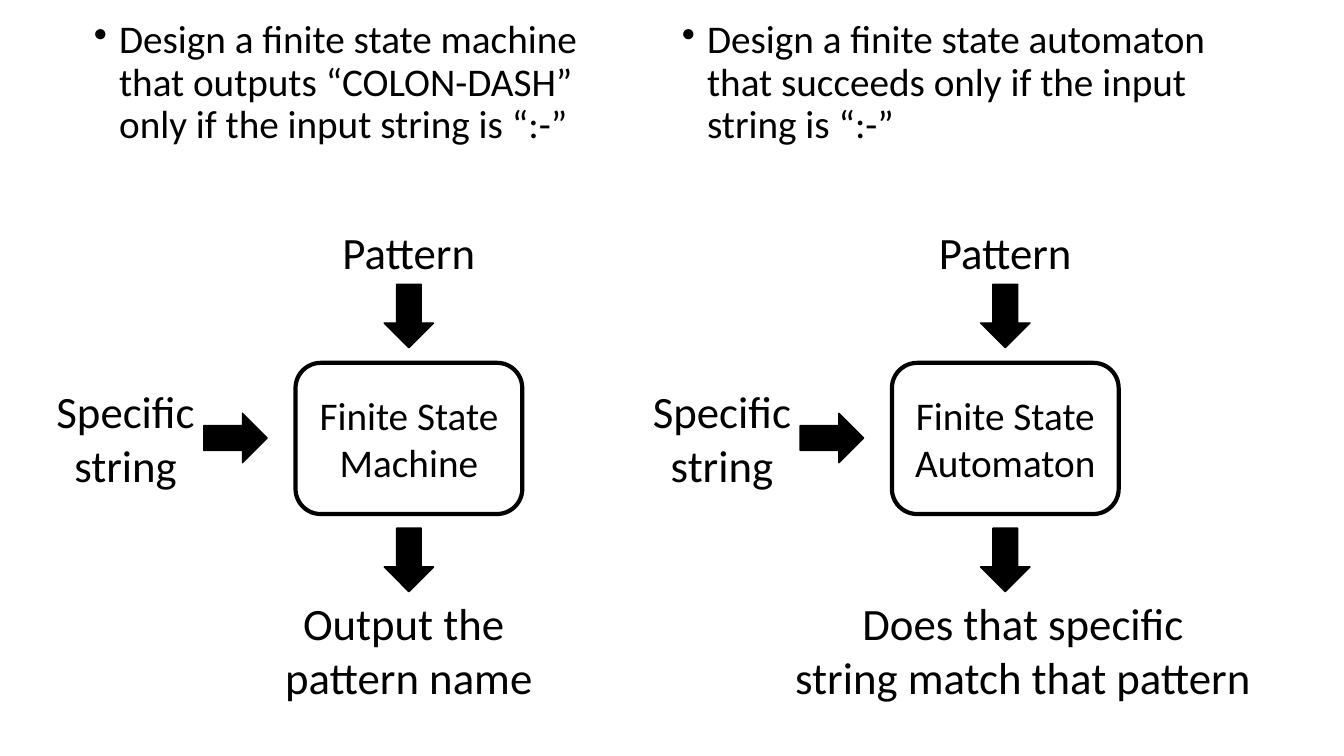
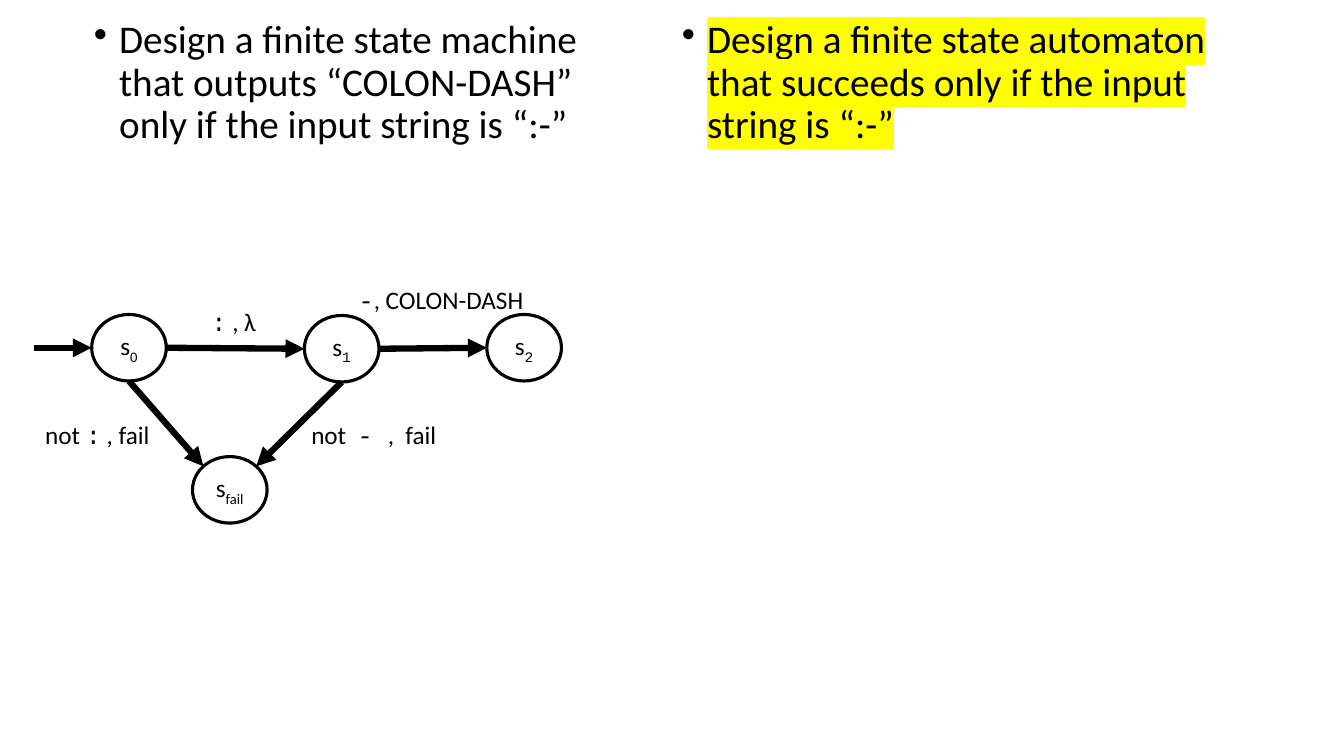
from dataclasses import dataclass
from math import cos, radians, sin

from lxml.etree import SubElement
from pptx import Presentation
from pptx.dml.color import RGBColor
from pptx.enum.shapes import MSO_CONNECTOR as Connector, MSO_SHAPE as Preset
from pptx.enum.text import MSO_ANCHOR as Anchor, MSO_AUTO_SIZE as AutoSize, PP_ALIGN as Align
from pptx.oxml.ns import qn
from pptx.util import Inches, Pt


@dataclass(frozen=True)
class Theme:
    ink: RGBColor = RGBColor(0, 0, 0)
    paper: RGBColor = RGBColor(255, 255, 255)
    marker: str = "FFFF00"
    font: str = "Calibri"
    code_font: str = "Courier New"
    label: int = 32
    body: int = 28
    small: int = 18


theme = Theme()
deck = Presentation()
deck.slide_width, deck.slide_height = Inches(13.333), Inches(7.5)
COL, ROW = deck.slide_width / 40, deck.slide_height / 30


def write(shape, *paragraphs, size, align=Align.LEFT, anchor=Anchor.TOP, wrap=True,
          grow=False, bullet=False, highlight=None):
    """Fill a shape with paragraphs of runs; a run is (text, *traits), traits "code" and "sub"."""
    frame = shape.text_frame
    frame.word_wrap, frame.vertical_anchor = wrap, anchor
    frame.auto_size = AutoSize.SHAPE_TO_FIT_TEXT if grow else AutoSize.NONE
    for number, runs in enumerate(paragraphs):
        paragraph = frame.add_paragraph() if number else frame.paragraphs[0]
        paragraph.alignment = align
        if bullet:
            paragraph.line_spacing, paragraph.space_before = 0.9, Pt(10)
            props = paragraph._p.get_or_add_pPr()
            props.set("marL", str(Inches(0.25)))
            props.set("indent", str(-Inches(0.25)))
            SubElement(props, qn("a:buChar"), char="•")
        for words, *traits in runs:
            run = paragraph.add_run()
            run.text = words
            run.font.size = Pt(size)
            run.font.color.rgb = theme.ink
            props = run._r.get_or_add_rPr()
            if highlight:
                SubElement(SubElement(props, qn("a:highlight")), qn("a:srgbClr"), val=highlight)
            if "sub" in traits:
                props.set("baseline", "-25000")
            run.font.name = theme.code_font if "code" in traits else theme.font


def place(slide, preset, left, top, width, height, fill=None, line=1):
    """Add a shape by grid position; without a preset it is a text box."""
    frame = [round(n) for n in (left * COL, top * ROW, width * COL, height * ROW)]
    if preset is None:
        return slide.shapes.add_textbox(*frame)
    shape = slide.shapes.add_shape(preset, *frame)
    shape.shadow.inherit = False
    if fill is None:
        shape.fill.background()
    else:
        shape.fill.solid()
        shape.fill.fore_color.rgb = fill
    shape.line.color.rgb, shape.line.width = theme.ink, Pt(line)
    return shape


# Both slides open with the same two tasks
tasks = ("Design a finite state machine that outputs “COLON-DASH” only if the input string is “:-”",
         "Design a finite state automaton that succeeds only if the input string is “:-”")
overview, solution = [deck.slides.add_slide(deck.slide_layouts[6]) for _ in range(2)]
for slide, markers in ((overview, (None, None)), (solution, (None, theme.marker))):
    for side, (task, marker) in enumerate(zip(tasks, markers)):
        write(place(slide, None, 2.5 + 17.5 * side, 0.6, 17, 19), [(task,)],
              size=theme.body, bullet=True, highlight=marker)

# Overview: pattern and string go in, an answer comes out
flows = ((12.17, "Finite State Machine", ("Output the ", "pattern name"), 0),
         (29.92, "Finite State Automaton", ("Does that specific", "string match that pattern"), 0.53))
ARROW_W, ARROW_H = 1.47, 2.52
for center, engine, answer, answer_shift in flows:
    box = place(overview, Preset.ROUNDED_RECTANGLE, center - 3.375, 14.4, 6.75, 6, theme.paper, 3)
    write(box, [(engine,)], size=theme.body, align=Align.CENTER, anchor=Anchor.MIDDLE)
    for shift, top, turn in ((0, 11.28, 0), (0, 20.96, 0), (-5.16, 16.12, 270)):
        arrow = place(overview, Preset.DOWN_ARROW, center + shift - ARROW_W / 2, top,
                      ARROW_W, ARROW_H, theme.ink)
        arrow.rotation = turn
    for shift, top, width, lines in ((0, 8.72, 4.62, ("Pattern",)),
                                     (-8.43, 15.04, 4.77, ("Specific", "string")),
                                     (answer_shift, 23.44, 14.34 if answer_shift else 8.07, answer)):
        label = place(overview, None, center + shift - width / 2, top, width, 2.36 * len(lines))
        write(label, *[[(line,)] for line in lines], size=theme.label, align=Align.CENTER,
              wrap=False, grow=True)

# Solution: the state diagram
states = {}
for name, left, top, *traits in (("0", 2.73, 12.48), ("1", 9.06, 12.52, "code"),
                                 ("2", 14.49, 12.48, "code"), ("fail", 5.73, 18.12)):
    states[name] = place(solution, Preset.OVAL, left, top, 2.22, 2.64, line=2.25)
    write(states[name], [("s",), (name, "sub", *traits)], size=theme.small,
          align=Align.CENTER, anchor=Anchor.MIDDLE, wrap=True)

# An oval has eight joints, counted anticlockwise from the top
TOP_LEFT, LEFT, BOTTOM, RIGHT, TOP_RIGHT = 1, 2, 4, 6, 7
for source, source_joint, target, target_joint in ((None, None, "0", LEFT),
                                                   ("0", RIGHT, "1", LEFT),
                                                   ("1", RIGHT, "2", LEFT),
                                                   ("0", BOTTOM, "fail", TOP_LEFT),
                                                   ("1", BOTTOM, "fail", TOP_RIGHT)):
    ends, joints = [], []
    for tag, name, joint in (("a:stCxn", source, source_joint), ("a:endCxn", target, target_joint)):
        if name is None:
            ends += [round(COL), round(13.8 * ROW)]
            continue
        state, angle = states[name], radians(90 + 45 * joint)
        ends += [round(state.left + state.width * (1 + cos(angle)) / 2),
                 round(state.top + state.height * (1 - sin(angle)) / 2)]
        joints.append((tag, state.shape_id, joint))
    step = solution.shapes.add_connector(Connector.STRAIGHT, *ends)
    step.line.color.rgb, step.line.width = theme.ink, Pt(4.5)
    SubElement(step.line._get_or_add_ln(), qn("a:tailEnd"), type="triangle")
    SubElement(step._element.spPr, qn("a:effectLst"))
    for tag, state_id, joint in joints:
        SubElement(step._element.nvCxnSpPr.cNvCxnSpPr, qn(tag), id=str(state_id), idx=str(joint))

for left, top, width, runs in (
        (6, 11.96, 4.41, [(":", "code"), (" , λ",)]),
        (10.38, 11.08, 8.97, [("-", "code"), (", COLON-DASH",)]),
        (8.97, 16.44, 6.27, [("not  ",), ("- ", "code"), (",  fail",)]),
        (1.05, 16.44, 4.14, [("not ",), (":", "code"), (" , fail",)])):
    write(place(solution, None, left, top, width, 1.6), runs, size=theme.small, grow=True)

deck.save("out.pptx")
